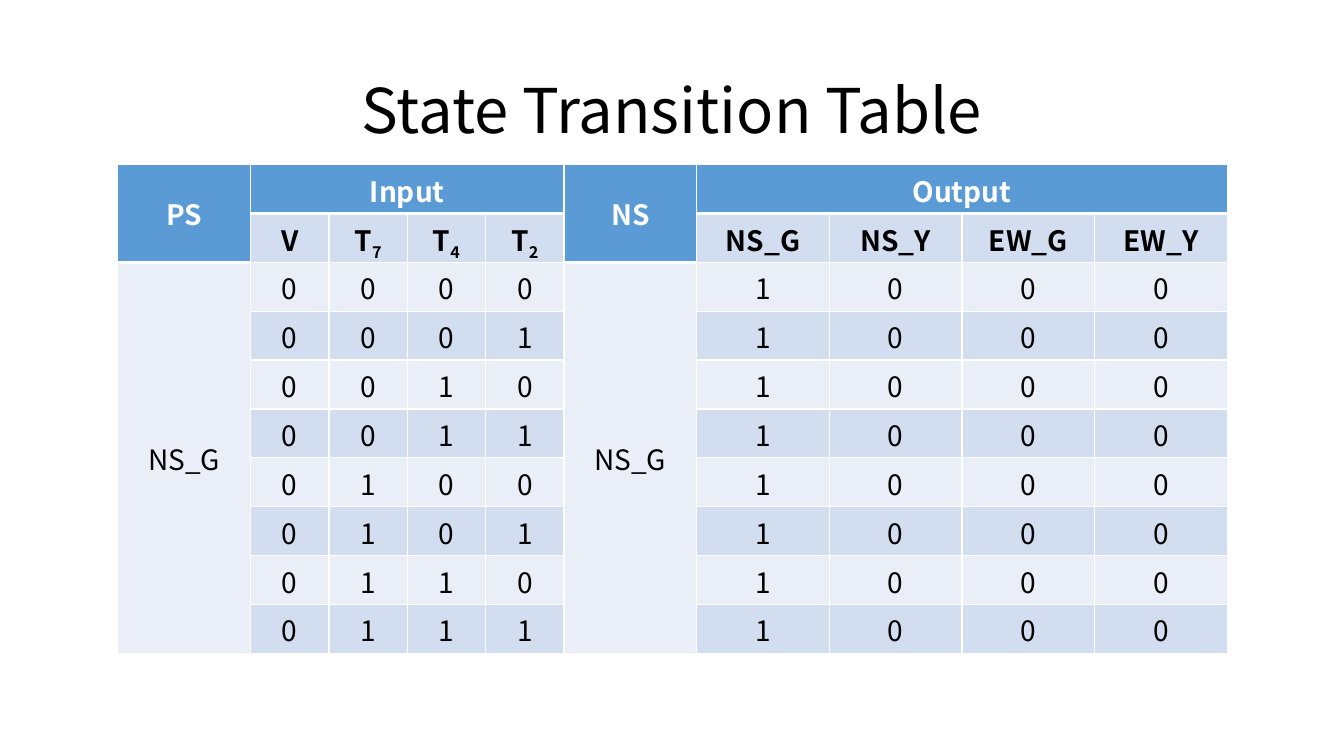
import itertools

import lxml.etree
import pptx
import pptx.dml.color
import pptx.enum.text
import pptx.oxml.ns
import pptx.util

Pt = pptx.util.Pt
RGBColor = pptx.dml.color.RGBColor
CENTER = pptx.enum.text.PP_ALIGN.CENTER
MIDDLE = pptx.enum.text.MSO_ANCHOR.MIDDLE
qn = pptx.oxml.ns.qn

BLACK = RGBColor(0x00, 0x00, 0x00)
WHITE = RGBColor(0xFF, 0xFF, 0xFF)
HEADER = RGBColor(0x5B, 0x9B, 0xD5)
BAND_DARK = RGBColor(0xD2, 0xDE, 0xEF)
BAND_LIGHT = RGBColor(0xEA, 0xEF, 0xF7)

FONT = "Noto Sans CJK KR"
STATE_COLS = (0, 5)
# Each merged block: first row, first column, last row, last column
MERGES = [(0, 0, 1, 0), (0, 1, 0, 4), (0, 5, 1, 5), (0, 6, 0, 9),
          (2, 0, 9, 0), (2, 5, 9, 5)]
COL_WEIGHTS = [1.32] + [0.78] * 4 + [1.32] * 5


def set_attrs(obj, values):
    """Set each attribute of obj named in the dict."""
    for name, value in values.items():
        setattr(obj, name, value)


def add_run(p, text, color, size, bold=False, subscript=False):
    """Append one formatted run to a centred paragraph."""
    p.alignment = CENTER
    r = p.add_run()
    r.text = text
    set_attrs(r.font, {"name": FONT, "size": Pt(size), "bold": bold})
    r.font.color.rgb = color
    if subscript:
        r._r.get_or_add_rPr().set("baseline", "-25000")


def set_borders(cell, widths):
    """Draw white cell edges, given widths in points by side."""
    tcPr = cell._tc.get_or_add_tcPr()
    for side, width in widths.items():
        ln = lxml.etree.SubElement(tcPr, qn("a:ln" + side), w=str(Pt(width)))
        fill = lxml.etree.SubElement(ln, qn("a:solidFill"))
        lxml.etree.SubElement(fill, qn("a:srgbClr"), val=str(WHITE))


def table_rows():
    """Return the rows of text; a tuple is a base with its subscript."""
    rows = [
        ["PS", "Input", "", "", "", "NS", "Output", "", "", ""],
        ["", "V", ("T", "7"), ("T", "4"), ("T", "2"), "",
         "NS_G", "NS_Y", "EW_G", "EW_Y"],
    ]
    for i, timers in enumerate(itertools.product("01", repeat=3)):
        state = "" if i else "NS_G"
        rows.append([state, "0", *timers, state, "1", "0", "0", "0"])
    return rows


def cell_fill(row, col):
    """Return the colour of a cell from its place in the grid."""
    if row == 0 or (row == 1 and col in STATE_COLS):
        return HEADER
    if col in STATE_COLS or row % 2 == 0:
        return BAND_LIGHT
    return BAND_DARK


def add_title(s, left, top, width, height):
    """Place the slide title in the given box."""
    tf = s.shapes.add_textbox(Pt(left), Pt(top), Pt(width), Pt(height)).text_frame
    set_attrs(tf, {"word_wrap": True, "vertical_anchor": MIDDLE})
    p = tf.paragraphs[0]
    p.line_spacing = 0.9
    add_run(p, "State Transition Table", BLACK, 44)


def add_state_table(s, left, top, width, height):
    """Place the state transition table in the given box."""
    rows = table_rows()
    table = s.shapes.add_table(len(rows), len(COL_WEIGHTS), Pt(left), Pt(top),
                               Pt(width), Pt(height)).table
    set_attrs(table, {"first_row": False, "horz_banding": False})
    for column, weight in zip(table.columns, COL_WEIGHTS):
        column.width = Pt(width * weight / sum(COL_WEIGHTS))
    for first_row, first_col, last_row, last_col in MERGES:
        table.cell(first_row, first_col).merge(table.cell(last_row, last_col))

    for i, row in enumerate(rows):
        for j, text in enumerate(row):
            cell = table.cell(i, j)
            color = cell_fill(i, j)
            below_header = i > 0 and cell_fill(i - 1, j) == HEADER
            set_borders(cell, {"L": 1, "R": 1, "T": 3 if below_header else 1,
                               "B": 3 if color == HEADER else 1})
            cell.fill.solid()
            cell.fill.fore_color.rgb = color
            cell.vertical_anchor = MIDDLE
            parts = text if isinstance(text, tuple) else (text,)
            for k, part in enumerate(parts):
                if part:
                    add_run(cell.text_frame.paragraphs[0], part,
                            WHITE if color == HEADER else BLACK, 20,
                            bold=i < 2, subscript=k == 1)


def build():
    """Build the slide and save the presentation."""
    prs = pptx.Presentation()
    set_attrs(prs, {"slide_width": Pt(960), "slide_height": Pt(540)})
    s = prs.slides.add_slide(prs.slide_layouts[6])
    add_title(s, 66, 28.75, 828, 104.4)
    add_state_table(s, 84.2, 117.6, 792.7, 349.2)
    prs.save("out.pptx")


build()
